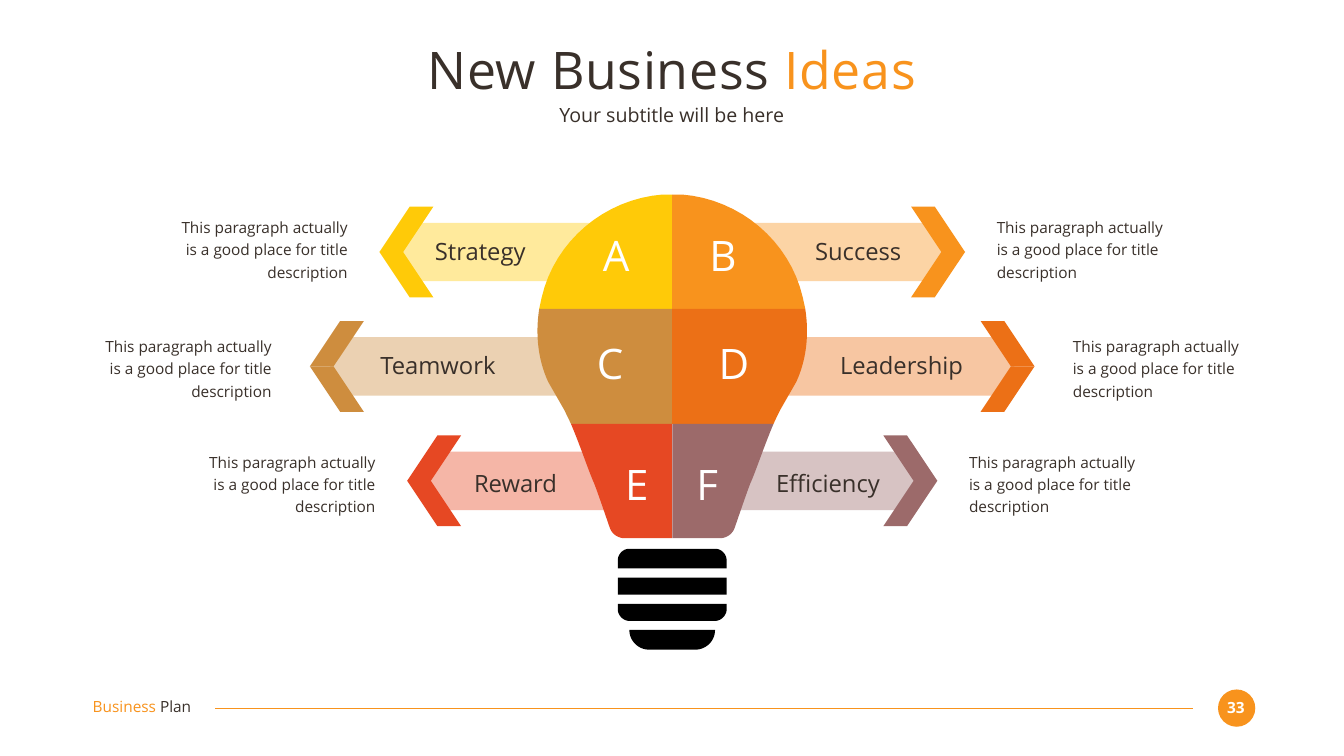
import pptx
import pptx.dml.color
import pptx.enum.shapes
import pptx.enum.text
import pptx.util
from lxml import etree

PX = 9144  # 100 px to the inch
FONT = "Open Sans"
DARK, ORANGE, WHITE = "39302A", "F8931D", "FFFFFF"
DESCRIPTION = "This paragraph actually is a good place for title description"
LEFT = pptx.enum.text.PP_ALIGN.LEFT
CENTER = pptx.enum.text.PP_ALIGN.CENTER
RIGHT = pptx.enum.text.PP_ALIGN.RIGHT
SHAPES = pptx.enum.shapes.MSO_SHAPE

# Right half outlines from the axis: pairs are corners, sixes are cubic curves.
BULB_BANDS = [
    [(0, 0), (19, 0), (134, 9, 233, 92, 259, 204), (264, 227), (0, 227)],
    [(0, 227), (264, 227), (272, 279, 266, 329, 246, 372), (215, 426),
     (211, 434, 206, 444, 201, 455), (0, 455)],
    [(0, 455), (201, 455), (183, 497, 164, 554, 155, 573),
     (148, 591, 134, 632, 124, 661), (120, 673, 108, 682, 94, 682), (0, 682)],
]
SOCKET = [
    [(0, 0), (86, 0), (97, 0, 108, 10, 108, 23), (108, 39), (0, 39)],
    [(0, 57), (108, 57), (108, 91), (0, 91)],
    [(0, 109), (108, 109), (108, 120), (108, 132, 97, 143, 85, 143), (0, 143)],
    [(0, 161), (85, 161), (85, 183, 67, 200, 46, 200), (0, 200)],
]

# Per row: middle, tip, inner end, label top and width, description gap and top, letter top
ROWS = [
    (500, 581, 63, 470, 268, 63, 426, 455),
    (727, 719, 63, 695, 370, 76, 662, 669),
    (954, 526, 8, 930, 268, 63, 891, 909),
]
# Per row, left then right: label, its distance, letter, its distance, colour, tint
ARMS = [
    [("Strategy", 381, "A", 112, "FFCA08", "FFEA9C"),
     ("Success", 369, "B", 100, ORANGE, "FCD4A5")],
    [("Teamwork", 465, "C", 124, "CE8D3E", "EBD1B2"),
     ("Leadership", 455, "D", 122, "EC7016", "F7C6A2")],
    [("Reward", 311, "E", 71, "E64823", "F5B6A7"),
     ("Efficiency", 309, "F", 69, "9C6A6A", "D7C3C3")],
]


def color(value):
    return pptx.dml.color.RGBColor.from_string(value)


def paint(shape, fill):
    shape.shadow.inherit = False
    shape.fill.solid()
    shape.fill.fore_color.rgb = color(fill)
    shape.line.fill.background()


def write(shape, spans, size, align=LEFT, bold=False,
          anchor=pptx.enum.text.MSO_ANCHOR.TOP):
    """Fill a shape with one paragraph of (text, colour) spans."""
    frame = shape.text_frame
    frame.word_wrap = True
    frame.vertical_anchor = anchor
    frame.margin_left = frame.margin_right = frame.margin_top = frame.margin_bottom = 0
    para = frame.paragraphs[0]
    para.alignment = align
    for text, fill in spans:
        span = para.add_run()
        span.text = text
        span.font.name = FONT
        span.font.size = pptx.util.Pt(size)
        span.font.bold = bold
        span.font.color.rgb = color(fill)
    return para


def add_text(page, box, spans, size, align=LEFT, **options):
    shape = page.shapes.add_textbox(*(length * PX for length in box))
    return write(shape, spans, size, align, **options)


def flatten(outline, steps=16):
    """Turn corners and cubic curves into a list of points."""
    points = []
    for part in outline:
        if len(part) == 2:
            points.append(part)
            continue
        nodes = [points[-1], part[:2], part[2:4], part[4:]]
        for step in range(1, steps + 1):
            t = step / steps
            weights = ((1 - t) ** 3, 3 * t * (1 - t) ** 2, 3 * t * t * (1 - t), t ** 3)
            points.append(tuple(sum(w * node[axis] for w, node in zip(weights, nodes))
                                for axis in (0, 1)))
    return points


def add_outline(page, origin, contours, fill, side=1):
    """Draw closed contours around an origin; side -1 mirrors them to the left."""
    placed = [[(round((origin[0] + side * x) * PX), round((origin[1] + y) * PX))
               for x, y in contour] for contour in contours]
    builder = page.shapes.build_freeform(*placed[0][0], scale=1.0)
    for index, contour in enumerate(placed):
        if index:
            builder.move_to(*contour[0])
        builder.add_line_segments(contour[1:], close=True)
    paint(builder.convert_to_shape(), fill)


def add_heading(page, left, top, width):
    title = page.shapes.title
    title.left, title.top = left * PX, top * PX
    title.width, title.height = width * PX, 127 * PX
    middle = pptx.enum.text.MSO_ANCHOR.MIDDLE
    para = write(title, [("New Business ", DARK), ("Ideas", ORANGE)], 74, CENTER,
                 anchor=middle)
    for span in para.runs:
        span.font._element.set("spc", "100")
    add_text(page, (left, top + 130, width, 49), [("Your subtitle will be here", DARK)],
             28, CENTER, anchor=middle)


def add_arm(page, axis, side, row, arm):
    """Draw one ribbon with its arrow tip, label and description."""
    middle, tip, inner, label_top, label_width, gap, text_top, _ = row
    label, label_distance, _, _, fill, tint = arm
    ribbon = [(inner, -58), (tip - 75, -58), (tip - 40, 0), (tip - 75, 58), (inner, 58)]
    add_outline(page, (axis, middle), [ribbon], tint, side)
    for wing in (-90, 90):
        chevron = [(tip, 0), (tip - 47, 0), (tip - 107, wing), (tip - 60, wing)]
        add_outline(page, (axis, middle), [chevron], fill, side)
    label_left = axis + side * label_distance - label_width // 2
    add_text(page, (label_left, label_top, label_width, 57), [(label, DARK)], 34, CENTER)
    edge = axis + side * (tip + gap)
    para = add_text(page, (edge if side > 0 else edge - 354, text_top, 354, 133),
                    [(DESCRIPTION, DARK)], 22, LEFT if side > 0 else RIGHT)
    para.line_spacing = 1.2


def add_bulb(page, axis, top):
    for row, arms, band in zip(ROWS, ARMS, BULB_BANDS):
        for side, arm in zip((-1, 1), arms):
            letter, distance, fill = arm[2:5]
            add_outline(page, (axis, top), [flatten(band)], fill, side)
            add_text(page, (axis + side * distance - 53, row[-1], 107, 101),
                     [(letter, WHITE)], 60, CENTER)
    halves = [flatten(part) for part in SOCKET]
    contours = [half + [(-x, y) for x, y in reversed(half)] for half in halves]
    add_outline(page, (axis, top + 703), contours, "000000")


def add_footer(page, left, top):
    add_text(page, (left, top + 16, 259, 37), [("Business ", ORANGE), ("Plan", DARK)], 22)
    rule = page.shapes.add_connector(
        pptx.enum.shapes.MSO_CONNECTOR.STRAIGHT,
        (left + 243) * PX, (top + 37) * PX, (left + 2183) * PX, (top + 37) * PX)
    rule.line.color.rgb = color(ORANGE)
    rule.line.width = pptx.util.Pt(1.5)
    properties = rule._element.spPr
    etree.SubElement(properties, pptx.oxml.ns.qn("a:effectLst"))
    badge = page.shapes.add_shape(SHAPES.OVAL, (left + 2233) * PX, top * PX,
                                  74 * PX, 74 * PX)
    paint(badge, ORANGE)
    add_text(page, (left + 2239, top + 17, 59, 37), [("33", WHITE)], 22, CENTER, bold=True)


def main():
    deck = pptx.Presentation()
    deck.slide_width, deck.slide_height = 2667 * PX, 1500 * PX
    page = deck.slides.add_slide(deck.slide_layouts[5])
    axis = 1334
    add_footer(page, 184, 1368)
    add_heading(page, 183, 73, 2300)
    for row, arms in zip(ROWS, ARMS):
        for side, arm in zip((-1, 1), arms):
            add_arm(page, axis, side, row, arm)
    add_bulb(page, axis, 386)
    deck.save("out.pptx")


if __name__ == "__main__":
    main()
